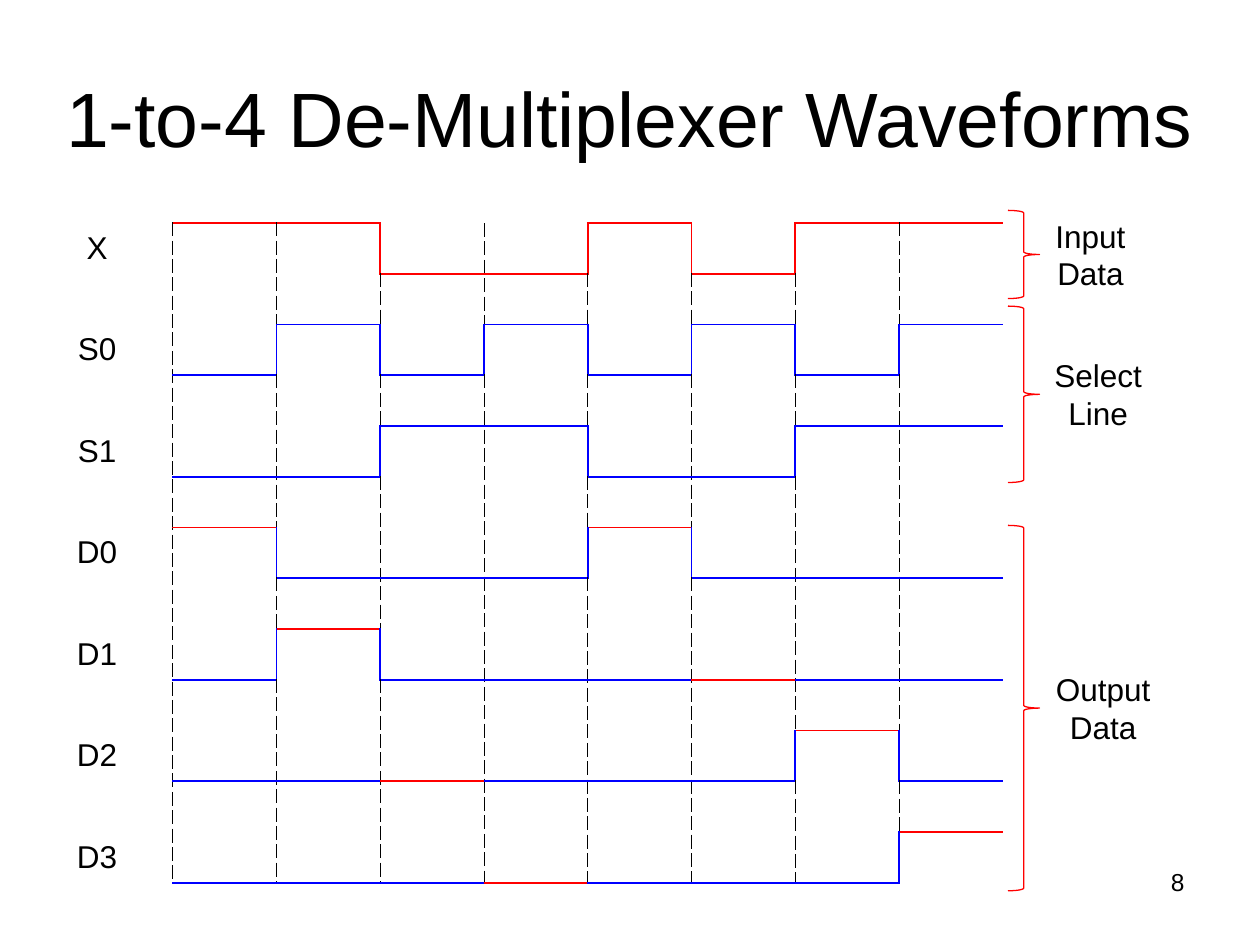
from lxml.etree import SubElement
from pptx import Presentation
from pptx.dml.color import RGBColor
from pptx.enum.shapes import MSO_SHAPE
from pptx.enum.text import MSO_ANCHOR, MSO_AUTO_SIZE, PP_ALIGN
from pptx.oxml.ns import qn
from pptx.util import Inches, Pt

COLORS = {"text": "000000", "grid": "000000", "red": "FF0000", "blue": "0000FF", "white": "FFFFFF"}
NO_GRID_STYLE = "{2D5ABB26-0587-4C30-8999-92F81FD0307C}"
SLOTS = 8
X = "11001011"
SELECT = {"S0": "01010101", "S1": "00110011"}


def write(tf, lines, size, align):
    for i, line in enumerate(lines):
        p = tf.paragraphs[0] if i == 0 else tf.add_paragraph()
        p.alignment = align
        r = p.add_run()
        r.text = line
        r.font.size = Pt(size)
        r.font.name = "Arial"
        r.font.color.rgb = RGBColor.from_string(COLORS["text"])


def add_border(cell, side, color):
    ln = SubElement(cell._tc.get_or_add_tcPr(), qn(f"a:ln{side}"))
    if color is None:
        SubElement(ln, qn("a:noFill"))
        return
    ln.set("w", str(Pt(0.45) if color == "grid" else Pt(1.08)))
    fill = SubElement(ln, qn("a:solidFill"))
    SubElement(fill, qn("a:srgbClr")).set("val", COLORS[color])
    SubElement(ln, qn("a:prstDash")).set("val", "dash" if color == "grid" else "solid")


prs = Presentation()
prs.slide_width, prs.slide_height = Inches(10), Inches(7.5)
W, H = prs.slide_width, prs.slide_height
s = prs.slides.add_slide(prs.slide_layouts[5])

title = s.shapes.title
title.left, title.top, title.width, title.height = 0, int(H * 0.04), W, Inches(1.25)
title.text_frame.vertical_anchor = MSO_ANCHOR.MIDDLE
write(title.text_frame, ["1-to-4 De-Multiplexer Waveforms"], 44, PP_ALIGN.CENTER)

number = s.shapes.add_textbox(Inches(7.17), Inches(6.83), Inches(2.33), Inches(0.52))
number.text_frame.word_wrap = True
write(number.text_frame, ["8"], 14, PP_ALIGN.RIGHT)

waves = {"X": (X, ["red"] * SLOTS, "red")}
for name, bits in SELECT.items():
    waves[name] = (bits, ["blue"] * SLOTS, "blue")
for k in range(4):
    chosen = [int(s0) + 2 * int(s1) == k for s0, s1 in zip(SELECT["S0"], SELECT["S1"])]
    bits = "".join(x if on else "0" for x, on in zip(X, chosen))
    waves[f"D{k}"] = (bits, ["red" if on else "blue" for on in chosen], "blue")

rows, cols = 2 * len(waves) - 1, SLOTS + 1
levels = {}
edges = {(row, col): "grid" for row in range(rows) for col in range(1, cols)}
for i, (bits, hues, edge_hue) in enumerate(waves.values()):
    for slot in range(SLOTS):
        levels[2 * i + 1 - int(bits[slot]), slot + 1] = hues[slot]
        if slot and bits[slot] != bits[slot - 1]:
            edges[2 * i, slot + 1] = edge_hue

frame = s.shapes.add_table(rows, cols, Inches(0.17), Inches(1.77), Inches(7.79), Inches(5.24))
table = frame.table
table.first_row = table.horz_banding = False
table._tbl.tblPr.find(qn("a:tableStyleId")).text = NO_GRID_STYLE
table.columns[0].width = Inches(1.2)
for col in range(1, cols):
    table.columns[col].width = int(Inches(6.59) / SLOTS)
for row in range(rows):
    table.rows[row].height = int(Inches(5.24) / rows)
    for col in range(cols):
        cell = table.cell(row, col)
        sides = {
            "L": edges.get((row, col)),
            "R": edges.get((row, col + 1)),
            "T": levels.get((row, col)),
            "B": levels.get((row + 1, col)),
        }
        for side, color in sides.items():
            add_border(cell, side, color)
        if row:
            cell.fill.solid()
            cell.fill.fore_color.rgb = RGBColor.from_string(COLORS["white"])
        else:
            cell.fill.background()
for i, name in enumerate(waves):
    cell = table.cell(2 * i, 0)
    cell.vertical_anchor = MSO_ANCHOR.MIDDLE
    write(cell.text_frame, [name], 18, PP_ALIGN.CENTER)

for lines, top, height, left, width in [
    (["Output", "Data"], 4.17, 2.9, 8.27, 0.97),
    (["Select", "Line"], 2.43, 1.4, 8.26, 0.91),
    (["Input", "Data"], 1.67, 0.7, 8.27, 0.77),
]:
    group = s.shapes.add_group_shape()
    brace = group.shapes.add_shape(
        MSO_SHAPE.RIGHT_BRACE, int(W * 0.8), Inches(top), int(W * 0.025), Inches(height)
    )
    brace.shadow.inherit = False
    brace.fill.background()
    brace.line.color.rgb = RGBColor.from_string(COLORS["red"])
    brace.line.width = Pt(0.75)
    label = group.shapes.add_textbox(
        Inches(left), Inches(top + height / 2 - 0.35), Inches(width), Inches(0.7)
    )
    tf = label.text_frame
    tf.word_wrap = False
    tf.auto_size = MSO_AUTO_SIZE.SHAPE_TO_FIT_TEXT
    write(tf, lines, 18, PP_ALIGN.CENTER)

prs.save("out.pptx")
